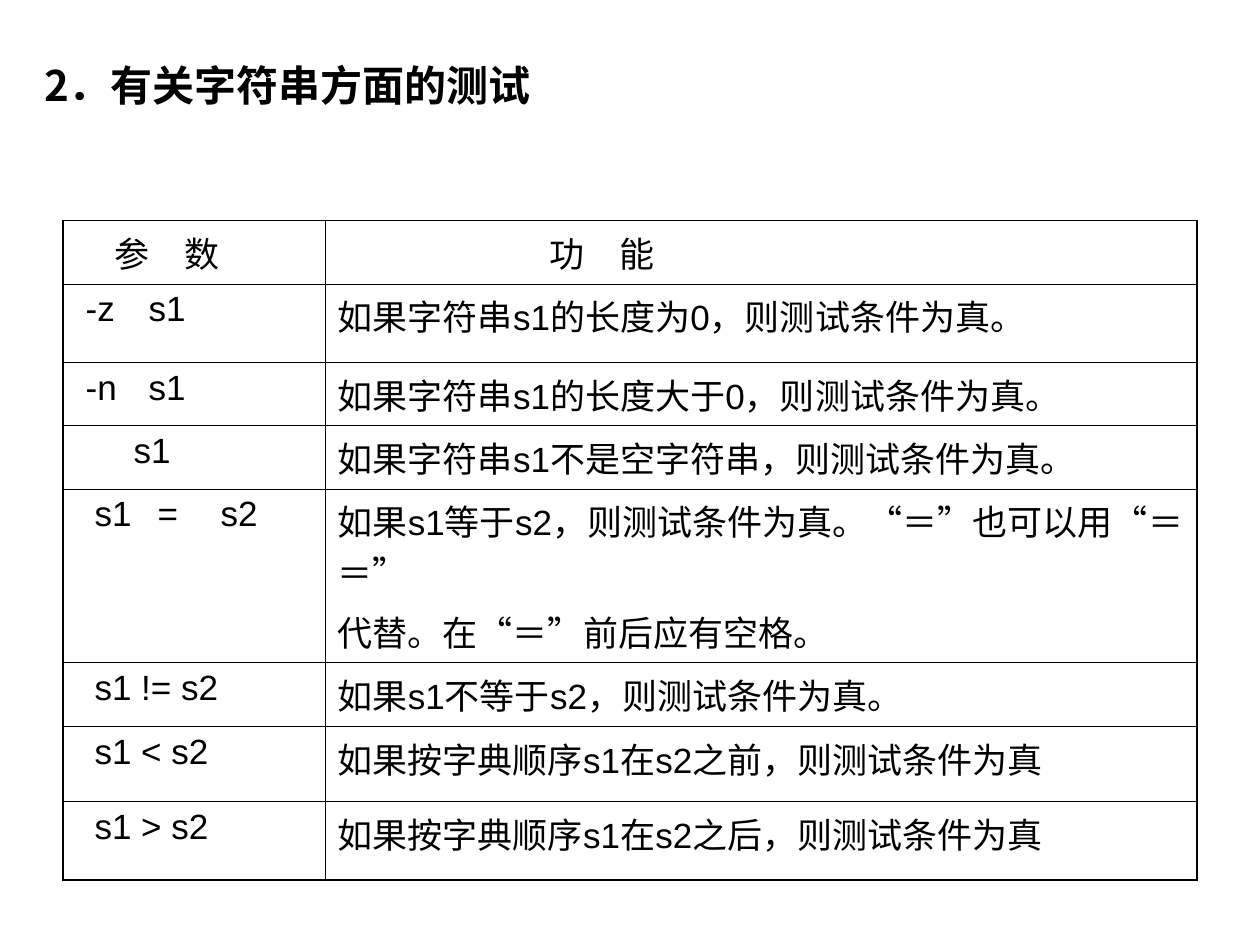
import pptx
import pptx.dml.color
import pptx.enum.lang
import pptx.enum.text
import pptx.oxml.ns
import pptx.util
from lxml import etree

SLIDE_W, SLIDE_H = 10, 7.5
INK = "000000"
LATIN, CHINESE = "Arial", "Noto Sans CJK SC"
OUTER_RULE, INNER_RULE = 1.08, 0.45

HEADING = "2．有关字符串方面的测试"
COLUMN_WIDTHS = [2.08, 6.92]
HEADER_INDENTS = [0.31, 1.68]
HEADERS = ["参　数", "功　能"]

# Row height, parameter, its indent, its tab stops, explanation paragraphs
TESTS = [
    (0.62, "-z\ts1", 0.08, [0.53], ["如果字符串s1的长度为0，则测试条件为真。"]),
    (0.48, "-n\ts1", 0.08, [0.47], ["如果字符串s1的长度大于0，则测试条件为真。"]),
    (0.48, "s1", 0.46, [], ["如果字符串s1不是空字符串，则测试条件为真。"]),
    (1.17, "s1\t=\ts2", 0.15, [0.6, 0.91],
     ["如果s1等于s2，则测试条件为真。“＝”也可以用“＝＝”",
      "代替。在“＝”前后应有空格。"]),
    (0.47, "s1 != s2", 0.15, [], ["如果s1不等于s2，则测试条件为真。"]),
    (0.6, "s1 < s2", 0.15, [], ["如果按字典顺序s1在s2之前，则测试条件为真"]),
    (0.62, "s1 > s2", 0.15, [], ["如果按字典顺序s1在s2之后，则测试条件为真"]),
]
HEADER_HEIGHT = 0.48


def inches(value):
    return pptx.util.Inches(value)


def colour(hex_text):
    return pptx.dml.color.RGBColor.from_string(hex_text)


def add_element(parent, tag, **attributes):
    element = etree.SubElement(parent, pptx.oxml.ns.qn(tag))
    for key, value in attributes.items():
        element.set(key, str(value))
    return element


def add_run(paragraph, text, size, latin, bold=False):
    run = paragraph.add_run()
    run.text = text
    run.font.size = pptx.util.Pt(size)
    run.font.bold = bold
    run.font.color.rgb = colour(INK)
    run.font.name = latin
    run.font.language_id = pptx.enum.lang.MSO_LANGUAGE_ID.SIMPLIFIED_CHINESE
    add_element(run.font._element, "a:ea", typeface=CHINESE)


def set_indent(paragraph, indent, stops):
    properties = paragraph._p.get_or_add_pPr()
    properties.set("marL", str(inches(indent)))
    properties.set("indent", "0")
    if stops:
        tab_list = add_element(properties, "a:tabLst")
        for stop in stops:
            add_element(tab_list, "a:tab", pos=inches(stop), algn="l")


def set_borders(cell, widths):
    properties = cell._tc.get_or_add_tcPr()
    for side, width in zip("LRTB", widths):
        line = add_element(properties, f"a:ln{side}", w=pptx.util.Pt(width))
        add_element(add_element(line, "a:solidFill"), "a:srgbClr", val=INK)


def fill_cell(cell, texts, indent=0, stops=()):
    frame = cell.text_frame
    for index, text in enumerate(texts):
        paragraph = frame.add_paragraph() if index else frame.paragraphs[0]
        set_indent(paragraph, indent, stops)
        if index:
            paragraph.space_before = pptx.util.Pt(5)
        add_run(paragraph, text, 20, LATIN)


def place_heading(slide, left, top, width, height):
    heading = slide.shapes.title
    heading.left, heading.top = inches(left), inches(top)
    heading.width, heading.height = inches(width), inches(height)
    frame = heading.text_frame
    frame.word_wrap = True
    frame.auto_size = pptx.enum.text.MSO_AUTO_SIZE.NONE
    frame.vertical_anchor = pptx.enum.text.MSO_ANCHOR.TOP
    paragraph = frame.paragraphs[0]
    paragraph.alignment = pptx.enum.text.PP_ALIGN.JUSTIFY
    add_run(paragraph, HEADING, 24, CHINESE, bold=True)


def place_tests(slide, left, top, width, height):
    row_heights = [HEADER_HEIGHT] + [test[0] for test in TESTS]
    table = slide.shapes.add_table(
        len(row_heights), len(COLUMN_WIDTHS),
        inches(left), inches(top), inches(width), inches(height)).table
    table.first_row = table.horz_banding = False
    for column, column_width in zip(table.columns, COLUMN_WIDTHS):
        column.width = inches(column_width)
    for row, row_height in zip(table.rows, row_heights):
        row.height = inches(row_height)

    # Header and test rows
    for column, (header, indent) in enumerate(zip(HEADERS, HEADER_INDENTS)):
        fill_cell(table.cell(0, column), [header], indent)
    for row, (_, parameter, indent, stops, meaning) in enumerate(TESTS, 1):
        fill_cell(table.cell(row, 0), [parameter], indent, stops)
        fill_cell(table.cell(row, 1), meaning)

    # Heavy frame, fine inner rules
    last_row, last_column = len(row_heights) - 1, len(COLUMN_WIDTHS) - 1
    for row in range(last_row + 1):
        for column in range(last_column + 1):
            cell = table.cell(row, column)
            on_frame = [column == 0, column == last_column,
                        row == 0, row == last_row]
            set_borders(cell, [OUTER_RULE if edge else INNER_RULE
                               for edge in on_frame])
            cell.fill.background()


def main():
    deck = pptx.Presentation()
    deck.slide_width, deck.slide_height = inches(SLIDE_W), inches(SLIDE_H)
    slide = deck.slides.add_slide(deck.slide_layouts[5])
    place_heading(slide, 0.25, 0.42, 9.58, 0.8)
    place_tests(slide, 0.5, 1.75, 9, 4.9)
    deck.save("out.pptx")


if __name__ == "__main__":
    main()
